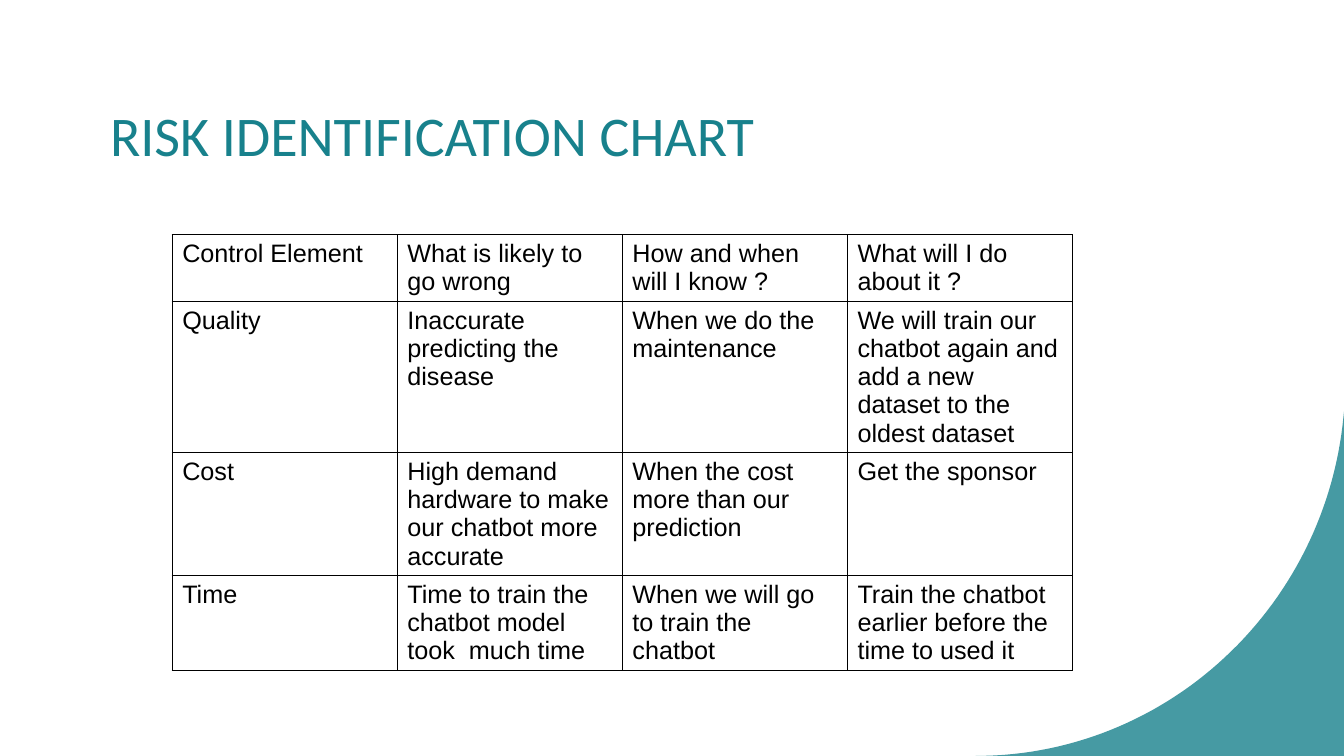
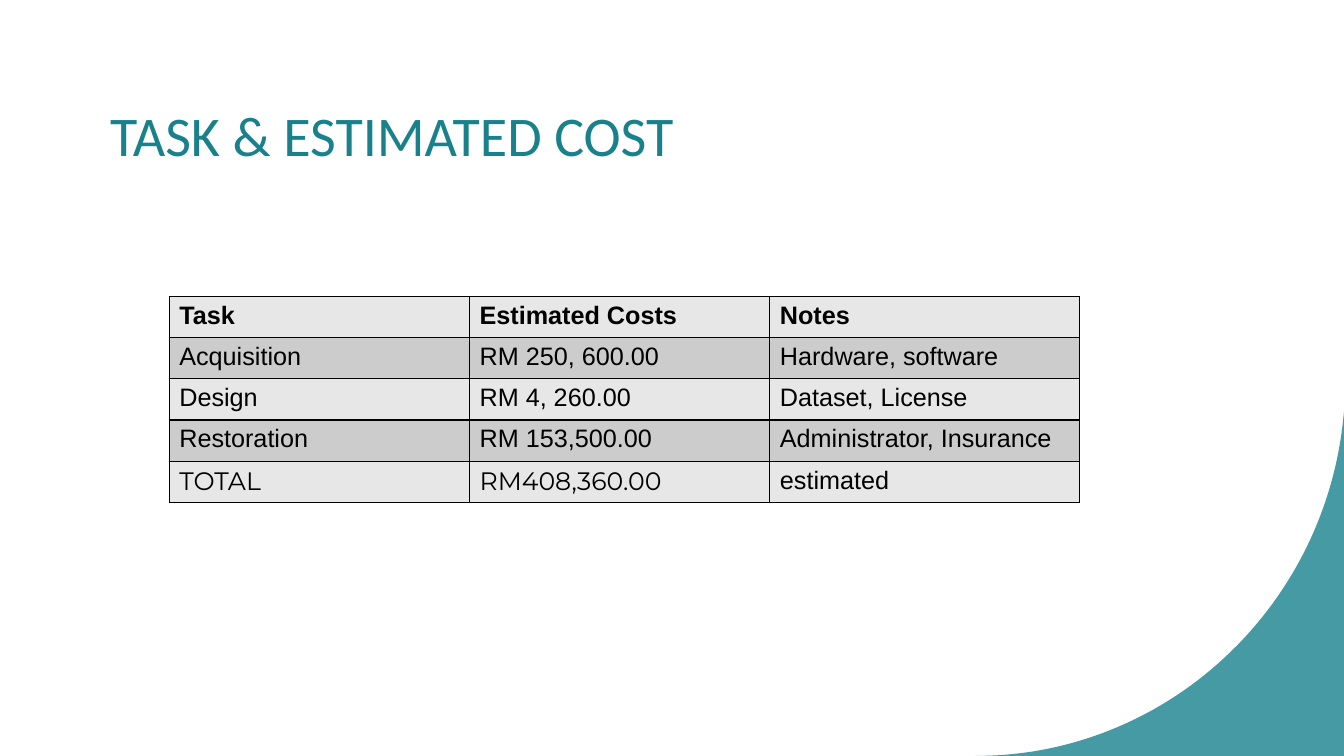
from lxml.etree import SubElement
from pptx import Presentation
from pptx.dml.color import RGBColor
from pptx.enum.text import MSO_ANCHOR, PP_ALIGN
from pptx.oxml.ns import qn
from pptx.util import Pt

EMU_PER_PX = 3810
WIDTH, HEIGHT = 3200, 1800
COLORS = {"teal": "18818C", "black": "000000", "light": "E7E7E7", "mid": "CCCCCC"}
BODY_FONT, TITLE_FONT, TOTAL_FONT = "Arial", "Calibri", "Montserrat"
ROW_HEIGHT = 98

RISKS = [
    ["Control Element", "What is likely to go wrong",
     "How and when will I know ?", "What will I do about it ?"],
    ["Quality", "Inaccurate predicting the disease", "When we do the maintenance",
     "We will train our chatbot again and add a new dataset to the oldest dataset"],
    ["Cost", "High demand hardware to make our chatbot more accurate",
     "When the cost more than our prediction", "Get the sponsor"],
    ["Time", "Time to train the chatbot model took  much time",
     "When we will go to train the chatbot",
     "Train the chatbot earlier before the time to used it"],
]
COSTS = [
    ["Task", "Estimated Costs", "Notes"],
    ["Acquisition", "RM 250, 600.00", "Hardware, software"],
    ["Design", "RM 4, 260.00", "Dataset, License"],
    ["Restoration", "RM 153,500.00", "Administrator, Insurance"],
    ["TOTAL", "RM408,360.00", "estimated"],
]


def px(n):
    return n * EMU_PER_PX


def rgb(name):
    return RGBColor.from_string(COLORS[name])


def set_text(tf, text, font=BODY_FONT, size=18, color="black", bold=False, spacing=None):
    p = tf.paragraphs[0]
    p.alignment = PP_ALIGN.LEFT
    p.line_spacing = spacing
    r = p.add_run()
    r.text = text
    r.font.name, r.font.size, r.font.bold = font, Pt(size), bold
    r.font.color.rgb = rgb(color)


def add_corner(s):
    """Fill the bottom right corner outside a Bézier curve."""
    start, pull_a, pull_b, end = (2323, 1800), (2779, 1800), (3156, 1445), (3199, 991)
    steps = 60
    curve = []
    for i in range(steps + 1):
        t = i / steps
        u = 1 - t
        curve.append(tuple(
            round(px(u**3 * a + 3 * u * u * t * b + 3 * u * t * t * c + t**3 * d))
            for a, b, c, d in zip(start, pull_a, pull_b, end)))
    builder = s.shapes.build_freeform(*curve[0])
    edge = [(px(WIDTH), px(980)), (px(WIDTH), px(HEIGHT))]
    builder.add_line_segments(curve[1:] + edge, close=True)
    sp = builder.convert_to_shape()
    sp.shadow.inherit = False
    sp.fill.solid()
    sp.fill.fore_color.rgb = rgb("teal")
    sp.line.fill.background()
    color = next(sp.element.iter(qn("a:srgbClr")))
    SubElement(color, qn("a:alpha"), val="80000")


def add_title(s, text):
    title = s.shapes.title
    title.left, title.top, title.width, title.height = map(px, (238, 156, 2678, 348))
    tf = title.text_frame
    tf.word_wrap = True
    tf.vertical_anchor = MSO_ANCHOR.MIDDLE
    set_text(tf, text, font=TITLE_FONT, size=40, color="teal", spacing=0.9)


def add_titled_slide(prs, title):
    s = prs.slides.add_slide(prs.slide_layouts[5])
    add_corner(s)
    add_title(s, title)
    return s


def add_borders(tc):
    tc_pr = tc.get_or_add_tcPr()
    for side in ("lnL", "lnR", "lnT", "lnB"):
        ln = SubElement(tc_pr, qn(f"a:{side}"), w=str(Pt(1)))
        fill = SubElement(ln, qn("a:solidFill"))
        SubElement(fill, qn("a:srgbClr"), val=COLORS["black"])


def add_grid(s, left, top, widths, rows, bands=(), bold_header=False, total_font=BODY_FONT):
    """Add a bordered table; bands are the row fills, used in turn."""
    frame = s.shapes.add_table(len(rows), len(widths), px(left), px(top),
                               px(sum(widths)), px(ROW_HEIGHT * len(rows)))
    table = frame.table
    table.first_row = table.horz_banding = False
    for column, width in zip(table.columns, widths):
        column.width = px(width)
    for tc in frame.element.iter(qn("a:tc")):
        add_borders(tc)
    last = len(rows) - 1
    for i, row in enumerate(rows):
        for j, text in enumerate(row):
            cell = table.cell(i, j)
            if bands:
                cell.fill.solid()
                cell.fill.fore_color.rgb = rgb(bands[i % len(bands)])
            else:
                cell.fill.background()
            is_total = i == last and j < len(widths) - 1
            set_text(cell.text_frame, text, bold=bold_header and i == 0,
                     font=total_font if is_total else BODY_FONT)


def main():
    prs = Presentation()
    prs.slide_width, prs.slide_height = px(WIDTH), px(HEIGHT)

    s = add_titled_slide(prs, "RISK IDENTIFICATION CHART")
    add_grid(s, 410, 559, [536] * 4, RISKS)

    s = add_titled_slide(prs, "TASK & ESTIMATED COST")
    add_grid(s, 403, 706, [715, 715, 737], COSTS, bands=("light", "mid"),
             bold_header=True, total_font=TOTAL_FONT)

    prs.save("out.pptx")


if __name__ == "__main__":
    main()
